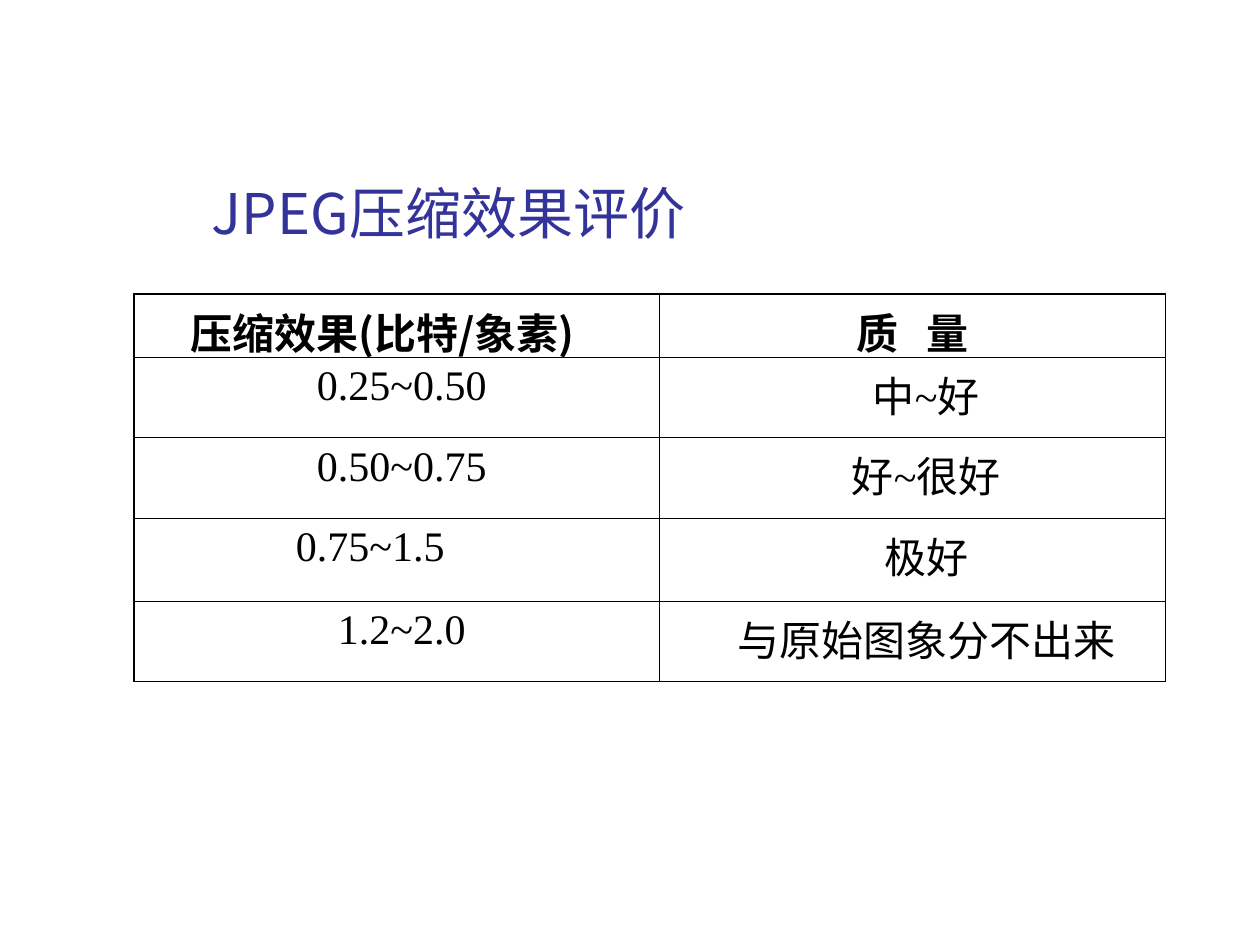
from lxml.etree import SubElement
from pptx import Presentation
from pptx.dml.color import RGBColor
from pptx.enum.text import MSO_ANCHOR, PP_ALIGN
from pptx.oxml.ns import qn
from pptx.util import Pt

SANS, SERIF = "Noto Sans CJK SC", "Times New Roman"
BLACK, BLUE = "000000", "333399"
OUTER, INNER = 1.08, 0.45

COLUMNS = [300, 289.5]
ROW_HEIGHTS = [36, 46, 46, 47.5, 46]
# Each cell: text, extra left margin, extra right margin
ROWS = [
    [("压缩效果(比特/象素)", 0, 16), ("质 量", 0, 0)],
    [("0.25~0.50", 6, 0), ("中~好", 16, 0)],
    [("0.50~0.75", 6, 0), ("好~很好", 16, 0)],
    [("0.75~1.5", 0, 30), ("极好", 16, 0)],
    [("1.2~2.0", 6, 0), ("与原始图象分不出来", 16, 0)],
]


def rgb(color):
    return RGBColor.from_string(color)


def add_run(p, text, size, color, latin, bold=False):
    r = p.add_run()
    r.text = text
    r.font.size = Pt(size)
    r.font.bold = bold
    r.font.color.rgb = rgb(color)
    r.font.name = latin
    SubElement(r.font._element, qn("a:ea"), typeface=SANS)
    return r


def set_borders(cell, widths):
    """Draw the borders; widths are left, right, top, bottom in points."""
    tc_pr = cell._tc.get_or_add_tcPr()
    for i, (side, width) in enumerate(zip("LRTB", widths)):
        ln = SubElement(tc_pr, qn(f"a:ln{side}"), w=str(int(Pt(width))))
        fill = SubElement(ln, qn("a:solidFill"))
        SubElement(fill, qn("a:srgbClr"), val=BLACK)
        tc_pr.insert(i, ln)


def add_title(s, left, top, width, height):
    tf = s.shapes.add_textbox(Pt(left), Pt(top), Pt(width), Pt(height)).text_frame
    tf.word_wrap = True
    tf.vertical_anchor = MSO_ANCHOR.BOTTOM
    add_run(tf.paragraphs[0], "JPEG压缩效果评价", 32, BLUE, SANS)


def fill_cell(cell, text, extra_left, extra_right, header):
    cell.fill.background()
    cell.margin_left, cell.margin_right = Pt(7.2 + extra_left), Pt(7.2 + extra_right)
    cell.margin_top = cell.margin_bottom = Pt(3.6)
    p = cell.text_frame.paragraphs[0]
    p.alignment = PP_ALIGN.CENTER
    p.space_before = Pt(6)
    for part in text.partition(" "):
        if part:
            r = add_run(p, part, 24, BLACK, SANS if header else SERIF, header)
            if part == " ":
                r.font._element.set("spc", "1075")


def add_quality_table(s, left, top, width, height):
    last_row, last_col = len(ROWS) - 1, len(COLUMNS) - 1
    table = s.shapes.add_table(len(ROWS), len(COLUMNS), Pt(left), Pt(top),
                               Pt(width), Pt(height)).table
    table.first_row = table.horz_banding = False
    for column, column_width in zip(table.columns, COLUMNS):
        column.width = Pt(column_width)
    for i, (row_height, row) in enumerate(zip(ROW_HEIGHTS, ROWS)):
        table.rows[i].height = Pt(row_height)
        for j, (text, extra_left, extra_right) in enumerate(row):
            cell = table.cell(i, j)
            fill_cell(cell, text, extra_left, extra_right, header=i == 0)
            edges = (j == 0, j == last_col, i == 0, i == last_row)
            set_borders(cell, [OUTER if edge else INNER for edge in edges])


def main():
    prs = Presentation()
    prs.slide_width, prs.slide_height = Pt(720), Pt(540)
    s = prs.slides.add_slide(prs.slide_layouts[6])
    add_title(s, 114, 83, 404, 61)
    add_quality_table(s, 76.5, 168, sum(COLUMNS), sum(ROW_HEIGHTS))
    prs.save("out.pptx")


if __name__ == "__main__":
    main()
